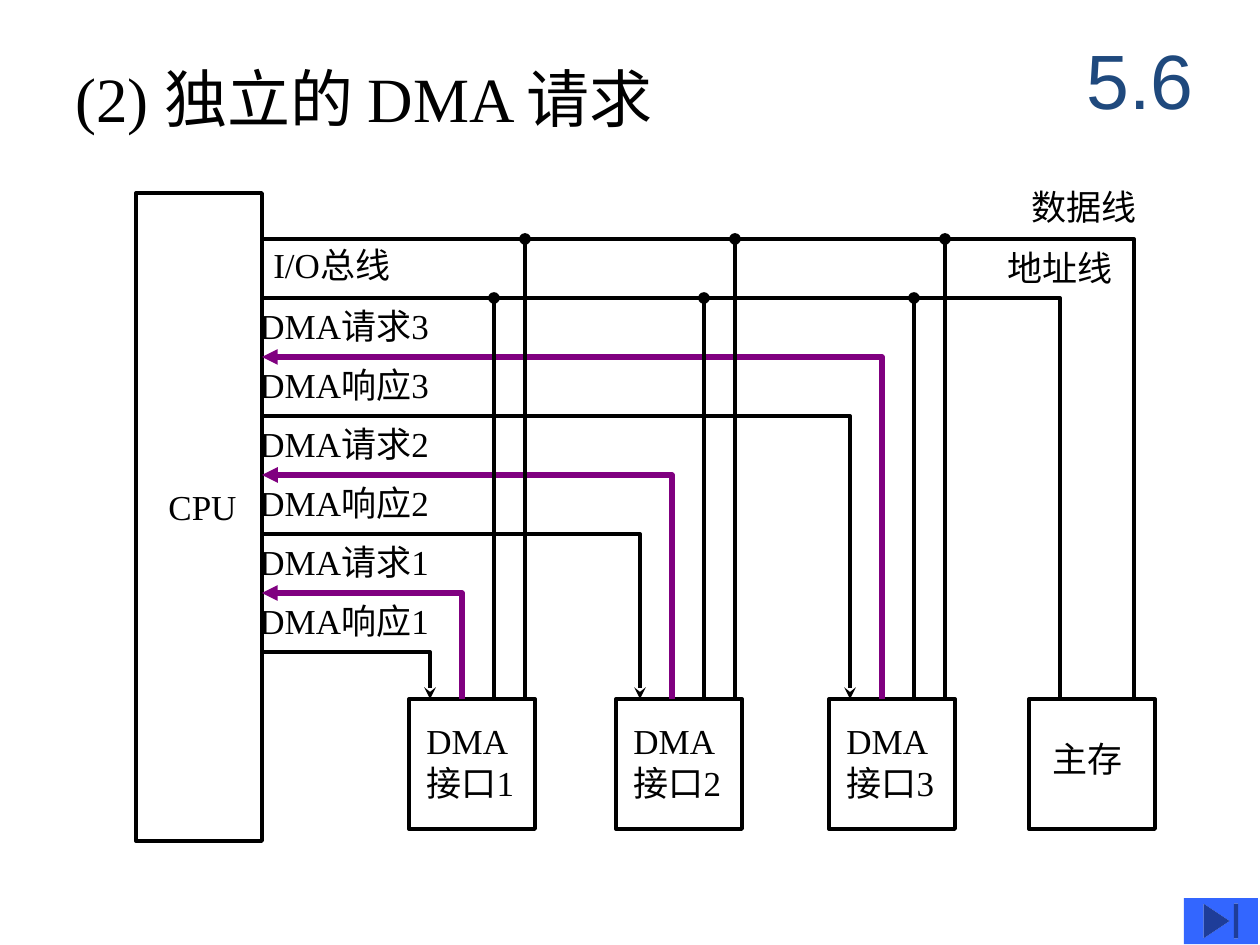
from lxml.etree import SubElement
from pptx import Presentation
from pptx.dml.color import RGBColor
from pptx.enum.shapes import MSO_CONNECTOR, MSO_SHAPE
from pptx.enum.text import MSO_ANCHOR, PP_ALIGN
from pptx.oxml.ns import qn
from pptx.util import Pt

SCALE = 914400 / 126
BLACK, PURPLE = "000000", "800080"


def px(*lengths):
    return [round(length * SCALE) for length in lengths]


def add_label(text, left, top, width, height, size=20):
    text_box = slide.shapes.add_textbox(*px(left, top, width, height))
    text_box.text_frame.text = text
    for paragraph in text_box.text_frame.paragraphs:
        paragraph.font.size = Pt(size)
        for run in paragraph.runs:
            run.font.size = Pt(size)
            run.font.name = "Times New Roman"
            run.font.color.rgb = RGBColor.from_string(BLACK)


presentation = Presentation()
presentation.slide_width, presentation.slide_height = px(1260, 945)
slide = presentation.slides.add_slide(presentation.slide_layouts[5])

title = slide.shapes.title
title.left, title.top, title.width, title.height = px(1061, 21, 158, 116)
title.text_frame.text = "5.6"
title.text_frame.vertical_anchor = MSO_ANCHOR.MIDDLE
paragraph = title.text_frame.paragraphs[0]
paragraph.alignment = PP_ALIGN.CENTER
font = paragraph.runs[0].font
font.size = Pt(44)
font.name = "Arial"
font.color.rgb = RGBColor.from_string("1F497D")

add_label("(2) 独立的 DMA 请求", 63, 53, 662, 88, 36)

cpu_right, interface_top = 262, 699
row_tops = [239 + 59 * row for row in range(8)]
data_top, address_top = row_tops[:2]
interface_lefts = [409, 616, 829]

boxes = [(136, 193, 126, 648), (1029, interface_top, 126, 130)]
boxes += [(left, interface_top, 126, 130) for left in interface_lefts]
for box in boxes:
    rectangle = slide.shapes.add_shape(MSO_SHAPE.RECTANGLE, *px(*box))
    rectangle.shadow.inherit = False
    rectangle.fill.background()
    rectangle.line.color.rgb = RGBColor.from_string(BLACK)
    rectangle.line.width = Pt(2.25)

add_label("CPU", 156, 479, 93, 55)
add_label("主存", 1040, 731, 95, 55)
add_label("I/O总线", 261, 237, 150, 55)
add_label("数据线", 1019, 179, 130, 55)
add_label("地址线", 995, 240, 130, 55)

wires = [
    (address_top, 1060, BLACK, 2.25, None, None),
    (data_top, 1134, BLACK, 2.25, None, None),
]
taps = []
for index, left in enumerate(interface_lefts):
    number = index + 1
    request_row = 6 - 2 * index
    first_pin = 430 + 210 * index
    add_label(f"DMA\n接口{number}", left + 5, 713, 121, 97)
    add_label(f"DMA请求{number}", 247, row_tops[request_row - 1], 212, 55)
    add_label(f"DMA响应{number}", 247, row_tops[request_row], 212, 55)
    wires.append((row_tops[request_row + 1], first_pin, BLACK, 2.25, "a:tailEnd", "stealth"))
    wires.append((row_tops[request_row], first_pin + 32, PURPLE, 3, "a:headEnd", "triangle"))
    taps += [(first_pin + 64, address_top), (first_pin + 95, data_top)]

for top, right, color, weight, end, arrow in wires:
    builder = slide.shapes.build_freeform(cpu_right, top, scale=SCALE)
    builder.add_line_segments([(right, top), (right, interface_top)], close=False)
    wire = builder.convert_to_shape()
    wire.shadow.inherit = False
    wire.fill.background()
    wire.line.color.rgb = RGBColor.from_string(color)
    wire.line.width = Pt(weight)
    if end:
        SubElement(wire.line._get_or_add_ln(), qn(end), type=arrow)

for left, top in taps:
    tap = slide.shapes.add_connector(
        MSO_CONNECTOR.STRAIGHT, *px(left, interface_top, left, top)
    )
    tap.line.color.rgb = RGBColor.from_string(BLACK)
    tap.line.width = Pt(2.25)
    SubElement(tap.line._get_or_add_ln(), qn("a:tailEnd"), type="oval")
    SubElement(tap._element.spPr, qn("a:effectLst"))

button = slide.shapes.add_shape(MSO_SHAPE.ACTION_BUTTON_END, *px(1184, 898, 74, 46))
button.shadow.inherit = False
button.fill.solid()
button.fill.fore_color.rgb = RGBColor.from_string("3366FF")
button.line.fill.background()
bevel = slide.shapes.add_shape(MSO_SHAPE.BEVEL, *px(1184, 898, 74, 46))
bevel.shadow.inherit = False
bevel.adjustments[0] = 0.06
bevel.fill.background()
bevel.line.fill.background()

presentation.save("out.pptx")
